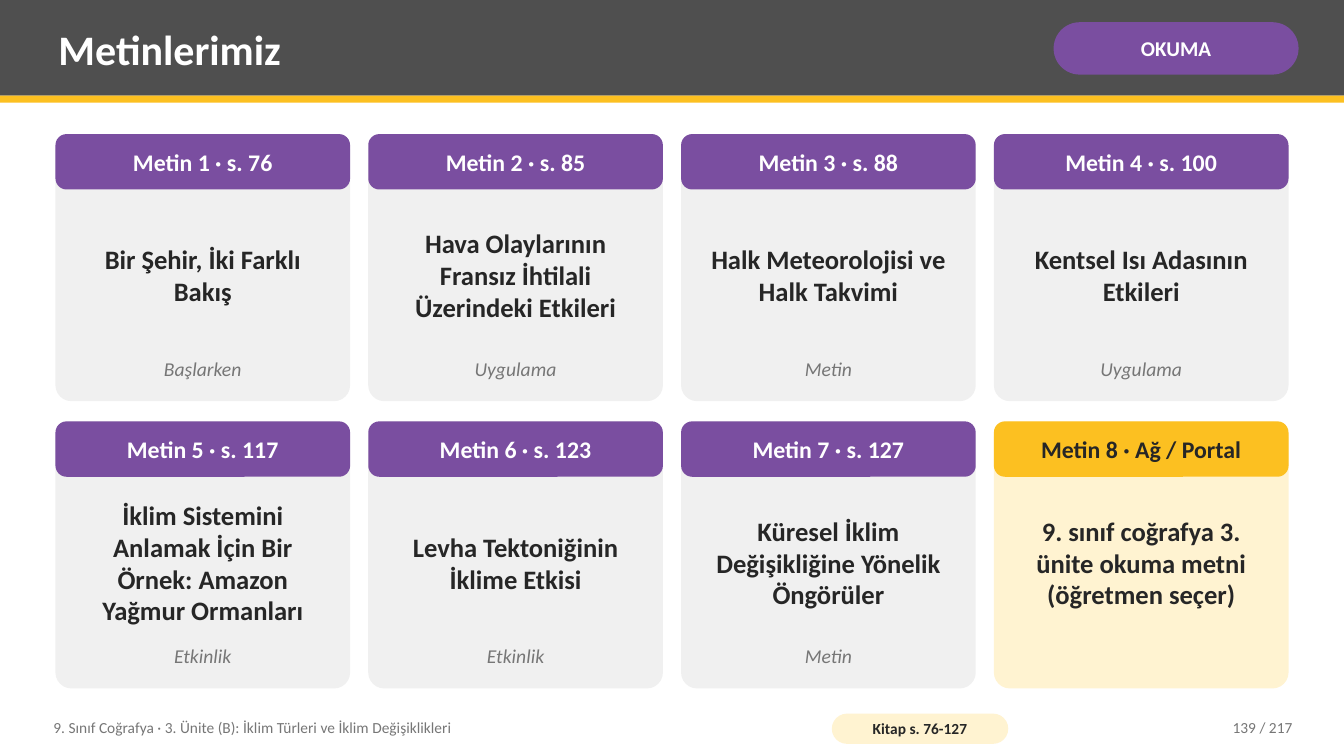
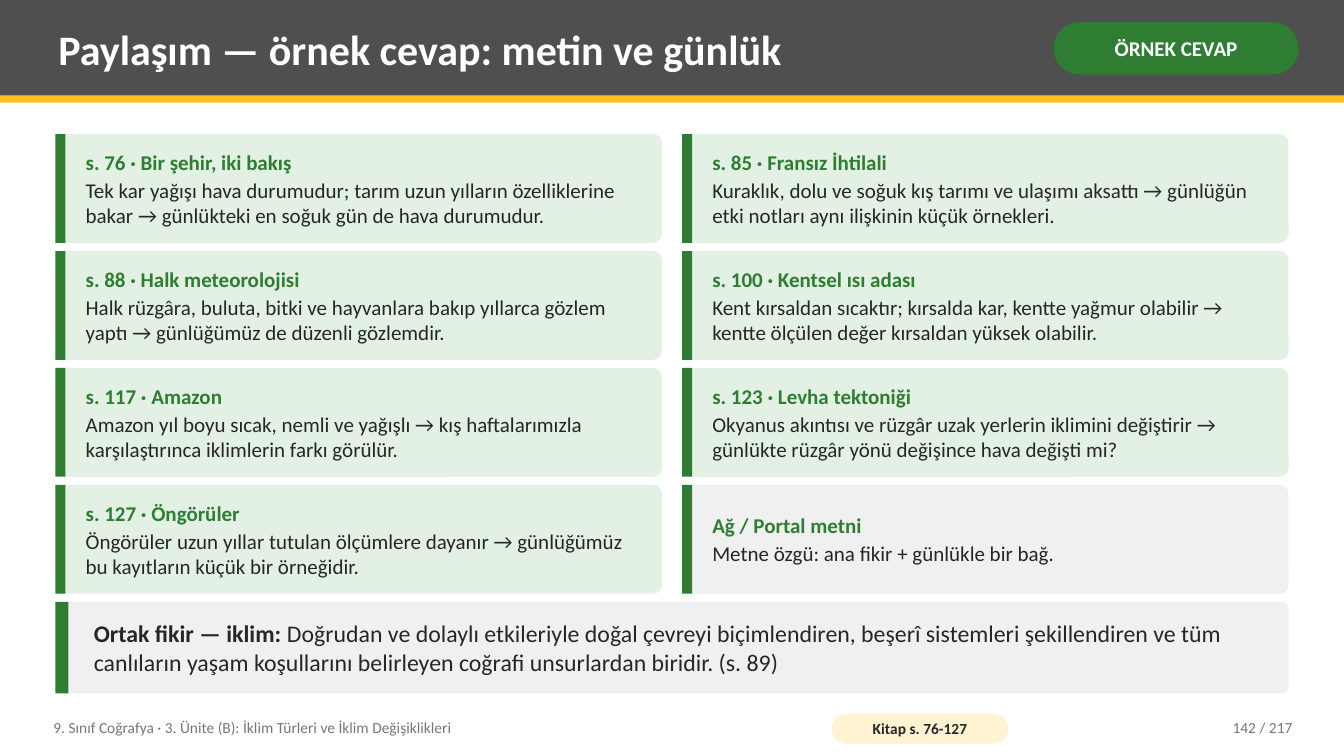
from pptx import Presentation
from pptx.dml.color import RGBColor
from pptx.enum.shapes import MSO_SHAPE
from pptx.enum.text import MSO_ANCHOR, PP_ALIGN
from pptx.util import Inches, Pt

RECT, ROUNDED = MSO_SHAPE.RECTANGLE, MSO_SHAPE.ROUNDED_RECTANGLE
TOP, MIDDLE = MSO_ANCHOR.TOP, MSO_ANCHOR.MIDDLE
LEFT, CENTER, RIGHT = PP_ALIGN.LEFT, PP_ALIGN.CENTER, PP_ALIGN.RIGHT

WHITE = RGBColor(0xFF, 0xFF, 0xFF)
INK = RGBColor(0x26, 0x26, 0x26)
MUTED = RGBColor(0x76, 0x76, 0x76)
CHARCOAL = RGBColor(0x4F, 0x4F, 0x4F)
PALE_GRAY = RGBColor(0xF0, 0xF0, 0xF0)
YELLOW = RGBColor(0xFC, 0xC0, 0x21)
CREAM = RGBColor(0xFF, 0xF3, 0xD1)
PURPLE = RGBColor(0x7A, 0x4E, 0xA0)
GREEN = RGBColor(0x2E, 0x7D, 0x32)
MINT = RGBColor(0xE3, 0xF1, 0xE4)

FONT = "Calibri"
WIDTH, HEIGHT = 13.33, 7.5
MARGIN, BODY_TOP = 0.55, 1.33
BODY_WIDTH = WIDTH - 2 * MARGIN


def add_block(slide, x, y, w, h, fill, corner=None):
    block = slide.shapes.add_shape(
        RECT if corner is None else ROUNDED, Inches(x), Inches(y), Inches(w), Inches(h))
    if corner is not None:
        block.adjustments[0] = corner
    block.shadow.inherit = False
    block.fill.solid()
    block.fill.fore_color.rgb = fill
    block.line.fill.background()
    return block


def write(holder, lines, size, align=LEFT, anchor=MIDDLE, italic=False, inset=(0.08, 0.04)):
    frame = holder.text_frame
    frame.word_wrap = True
    frame.vertical_anchor = anchor
    frame.margin_left = frame.margin_right = Inches(inset[0])
    frame.margin_top = frame.margin_bottom = Inches(inset[1])
    for index, (text, color, bold) in enumerate(lines):
        paragraph = frame.paragraphs[0] if index == 0 else frame.add_paragraph()
        paragraph.text = text
        paragraph.alignment = align
        paragraph.font.name = FONT
        paragraph.font.size = Pt(size)
        paragraph.font.color.rgb = color
        paragraph.font.bold = bold
        paragraph.font.italic = italic
    return frame.paragraphs[0]


deck = Presentation()
deck.slide_width, deck.slide_height = Inches(WIDTH), Inches(HEIGHT)

pages = []
for title, tag, tag_color, number in [
    ("Metinlerimiz", "OKUMA", PURPLE, 139),
    ("Paylaşım — örnek cevap: metin ve günlük", "ÖRNEK CEVAP", GREEN, 142),
]:
    page = deck.slides.add_slide(deck.slide_layouts[6])
    pages.append(page)
    add_block(page, 0, 0, WIDTH, 0.95, CHARCOAL)
    add_block(page, 0, 0.95, WIDTH, 0.07, YELLOW)
    heading = page.shapes.add_textbox(Inches(0.5), Inches(0.07), Inches(9.75), Inches(0.82))
    write(heading, [(title, WHITE, True)], 30)
    badge = add_block(page, 10.45, 0.22, 2.43, 0.52, tag_color, 0.5)
    write(badge, [(tag, WHITE, True)], 15, CENTER, inset=(0.05, 0.02))

    for x, w, text, align in [
        (0.45, 7.6, "9. Sınıf Coğrafya · 3. Ünite (B): İklim Türleri ve İklim Değişiklikleri", LEFT),
        (11.3, 1.6, f"{number} / 217", RIGHT),
    ]:
        footer = page.shapes.add_textbox(Inches(x), Inches(7.04), Inches(w), Inches(0.36))
        write(footer, [(text, MUTED, False)], 11, align)
    book_pages = add_block(page, 8.25, 7.08, 1.75, 0.3, CREAM, 0.5)
    write(book_pages, [("Kitap s. 76-127", INK, True)], 11, CENTER, inset=(0.04, 0))

readings_page, answers_page = pages

readings = [
    ("s. 76", "Bir Şehir, İki Farklı Bakış", "Başlarken"),
    ("s. 85", "Hava Olaylarının Fransız İhtilali Üzerindeki Etkileri", "Uygulama"),
    ("s. 88", "Halk Meteorolojisi ve Halk Takvimi", "Metin"),
    ("s. 100", "Kentsel Isı Adasının Etkileri", "Uygulama"),
    ("s. 117", "İklim Sistemini Anlamak İçin Bir Örnek: Amazon Yağmur Ormanları", "Etkinlik"),
    ("s. 123", "Levha Tektoniğinin İklime Etkisi", "Etkinlik"),
    ("s. 127", "Küresel İklim Değişikliğine Yönelik Öngörüler", "Metin"),
    ("Ağ / Portal", "9. sınıf coğrafya 3. ünite okuma metni (öğretmen seçer)", None),
]
CARD_COLUMNS, CARD_GAP = 4, 0.18
CARD_WIDTH = (BODY_WIDTH - (CARD_COLUMNS - 1) * CARD_GAP) / CARD_COLUMNS
CARD_HEIGHT, CARD_PITCH = 2.65, 2.85
CARD_PAD = 0.12

for index, (source, name, section) in enumerate(readings):
    row, column = divmod(index, CARD_COLUMNS)
    x = MARGIN + column * (CARD_WIDTH + CARD_GAP)
    y = BODY_TOP + row * CARD_PITCH
    card_fill, head_fill, head_ink = (
        (PALE_GRAY, PURPLE, WHITE) if section else (CREAM, YELLOW, INK))
    add_block(readings_page, x, y, CARD_WIDTH, CARD_HEIGHT, card_fill, 0.06)
    card_head = add_block(readings_page, x, y, CARD_WIDTH, 0.55, head_fill, 0.2)
    write(card_head, [(f"Metin {index + 1} · {source}", head_ink, True)], 17, CENTER,
          inset=(0.14, 0.08))
    inner_left, inner_width = Inches(x + CARD_PAD), Inches(CARD_WIDTH - 2 * CARD_PAD)
    reading_name = readings_page.shapes.add_textbox(
        inner_left, Inches(y + 0.65), inner_width, Inches(1.5))
    write(reading_name, [(name, INK, True)], 19, CENTER)
    if section:
        section_label = readings_page.shapes.add_textbox(
            inner_left, Inches(y + 2.17), inner_width, Inches(0.4))
        write(section_label, [(section, MUTED, False)], 14, CENTER, TOP, italic=True)

answers = [
    ("s. 76 · Bir şehir, iki bakış",
     "Tek kar yağışı hava durumudur; tarım uzun yılların özelliklerine bakar → "
     "günlükteki en soğuk gün de hava durumudur.", MINT),
    ("s. 85 · Fransız İhtilali",
     "Kuraklık, dolu ve soğuk kış tarımı ve ulaşımı aksattı → günlüğün etki notları "
     "aynı ilişkinin küçük örnekleri.", MINT),
    ("s. 88 · Halk meteorolojisi",
     "Halk rüzgâra, buluta, bitki ve hayvanlara bakıp yıllarca gözlem yaptı → "
     "günlüğümüz de düzenli gözlemdir.", MINT),
    ("s. 100 · Kentsel ısı adası",
     "Kent kırsaldan sıcaktır; kırsalda kar, kentte yağmur olabilir → kentte ölçülen "
     "değer kırsaldan yüksek olabilir.", MINT),
    ("s. 117 · Amazon",
     "Amazon yıl boyu sıcak, nemli ve yağışlı → kış haftalarımızla karşılaştırınca "
     "iklimlerin farkı görülür.", MINT),
    ("s. 123 · Levha tektoniği",
     "Okyanus akıntısı ve rüzgâr uzak yerlerin iklimini değiştirir → günlükte rüzgâr "
     "yönü değişince hava değişti mi?", MINT),
    ("s. 127 · Öngörüler",
     "Öngörüler uzun yıllar tutulan ölçümlere dayanır → günlüğümüz bu kayıtların "
     "küçük bir örneğidir.", MINT),
    ("Ağ / Portal metni", "Metne özgü: ana fikir + günlükle bir bağ.", PALE_GRAY),
]
ANSWER_COLUMNS, ANSWER_GAP = 2, 0.2
ANSWER_WIDTH = (BODY_WIDTH - ANSWER_GAP) / ANSWER_COLUMNS
ANSWER_HEIGHT, ANSWER_PITCH = 1.08, 1.16

for index, (topic, answer, fill) in enumerate(answers):
    row, column = divmod(index, ANSWER_COLUMNS)
    x = MARGIN + column * (ANSWER_WIDTH + ANSWER_GAP)
    y = BODY_TOP + row * ANSWER_PITCH
    add_block(answers_page, x, y, ANSWER_WIDTH, ANSWER_HEIGHT, fill, 0.08)
    add_block(answers_page, x, y, 0.1, ANSWER_HEIGHT, GREEN)
    answer_text = answers_page.shapes.add_textbox(
        Inches(x + 0.22), Inches(y + 0.03),
        Inches(ANSWER_WIDTH - 0.3), Inches(ANSWER_HEIGHT - 0.06))
    topic_line = write(answer_text, [(topic, GREEN, True), (answer, INK, False)], 15)
    topic_line.space_after = Pt(2)

SUMMARY_TOP = BODY_TOP + len(answers) / ANSWER_COLUMNS * ANSWER_PITCH
SUMMARY_HEIGHT = 0.91
add_block(answers_page, MARGIN, SUMMARY_TOP, BODY_WIDTH, SUMMARY_HEIGHT, PALE_GRAY, 0.08)
add_block(answers_page, MARGIN, SUMMARY_TOP, 0.13, SUMMARY_HEIGHT, GREEN)
summary = answers_page.shapes.add_textbox(
    Inches(MARGIN + 0.3), Inches(SUMMARY_TOP), Inches(BODY_WIDTH - 0.45), Inches(SUMMARY_HEIGHT))
common_idea = write(summary, [("Ortak fikir — iklim:", INK, False)], 17)
common_idea.runs[0].font.bold = True
common_idea.add_run().text = (
    " Doğrudan ve dolaylı etkileriyle doğal çevreyi biçimlendiren, beşerî sistemleri "
    "şekillendiren ve tüm canlıların yaşam koşullarını belirleyen coğrafi unsurlardan "
    "biridir. (s. 89)")

deck.save("out.pptx")
